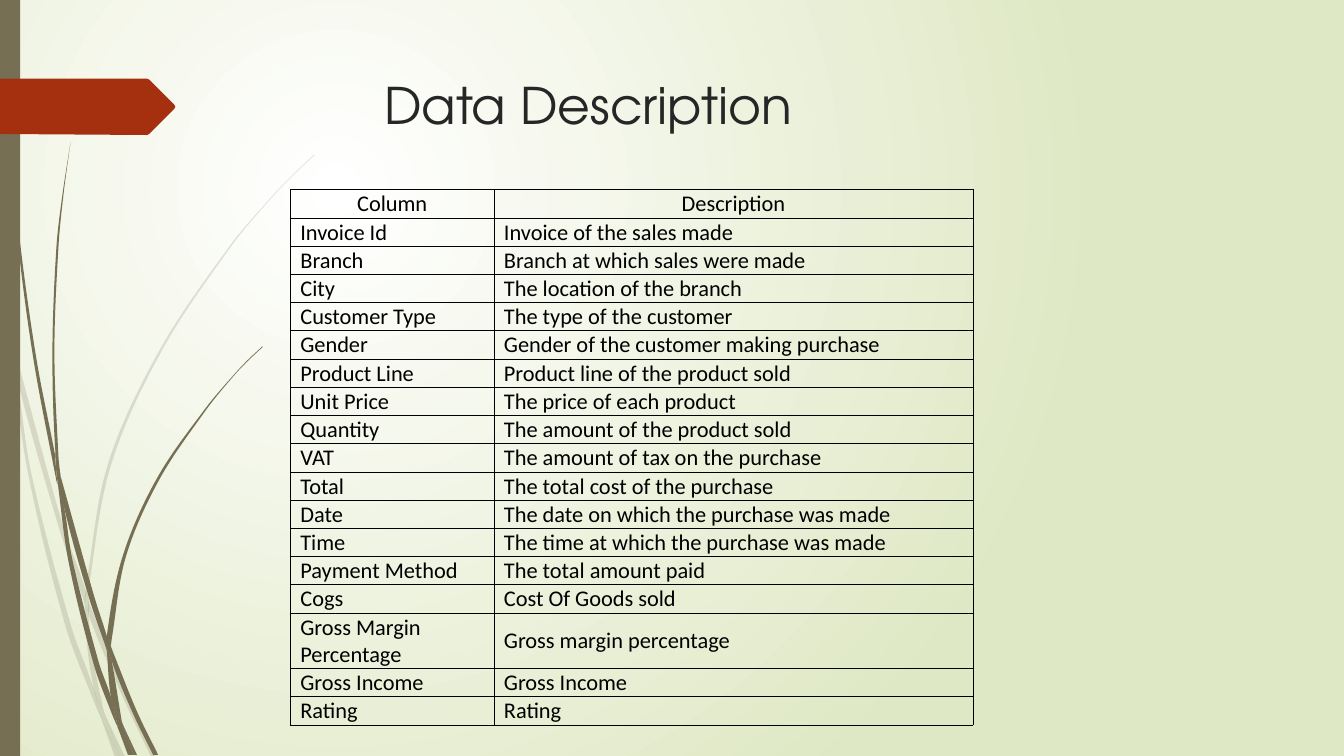
from dataclasses import dataclass
from math import dist

from lxml import etree
from pptx import Presentation
from pptx import util as u
from pptx.dml.color import RGBColor
from pptx.enum import shapes, text
from pptx.oxml.ns import qn


@dataclass(frozen=True)
class Theme:
    olive: str = "766F54"
    red: str = "A53010"
    title_ink: str = "262626"
    ink: str = "000000"
    glow: str = "FFFFFF"
    ground: str = "DFE8C4"
    title_font: str = "TeX Gyre Adventor"
    body_font: str = "Calibri"
    title_size: int = 36
    body_size: int = 16


THEME = Theme()
CM_PER_UNIT = 2.54  # the outlines below are on a grid of 2.54 cm

ROWS = [
    ("Column", "Description"),
    ("Invoice Id", "Invoice of the sales made"),
    ("Branch", "Branch at which sales were made"),
    ("City", "The location of the branch"),
    ("Customer Type", "The type of the customer"),
    ("Gender", "Gender of the customer making purchase"),
    ("Product Line", "Product line of the product sold"),
    ("Unit Price", "The price of each product"),
    ("Quantity", "The amount of the product sold"),
    ("VAT", "The amount of tax on the purchase"),
    ("Total", "The total cost of the purchase"),
    ("Date", "The date on which the purchase was made"),
    ("Time", "The time at which the purchase was made"),
    ("Payment Method", "The total amount paid"),
    ("Cogs", "Cost Of Goods sold"),
    ("Gross Margin Percentage", "Gross margin percentage"),
    ("Gross Income", "Gross Income"),
    ("Rating", "Rating"),
]

PALE_GRASS = [
    [(.11, 3.5), (.09, 3.22), (0, 2.82), (0, 2.99), (.1, 3.44)],
    [(.58, 5.22), (.84, 5.99), (.85, 5.86), (.62, 5.2), (.14, 3.45), (.17, 3.76)],
    [(.92, 6.07), (.88, 5.96), (.88, 6.1), (1.23, 6.94), (1.5, 7.51), (1.55, 7.51), (1.27, 6.92)],
    [(1.19, 7.51), (1.24, 7.51), (1.05, 7.11)],
    [(.93, 6.83), (.7, 6.19), (.31, 4.69), (.17, 3.76), (.11, 3.5), (.28, 4.7), (.65, 6.21),
     (.92, 6.93), (1.01, 7.14), (.99, 7.07)],
    [(.84, 5.99), (.87, 6.46), (.93, 6.83), (.96, 6.92), (1.05, 7.11), (1.03, 7.06), (.91, 6.46),
     (.88, 6.1), (.88, 6.08)],
    [(.88, 5.84), (1.1, 4.62), (1.6, 3.49), (2.29, 2.45), (2.68, 1.98), (2.9, 1.75), (3.12, 1.54),
     (3.12, 1.53), (2.89, 1.75), (2.68, 1.97), (2.28, 2.44), (1.58, 3.48), (1.07, 4.61),
     (.85, 5.84), (.85, 5.86), (.88, 5.96)],
    [(1.01, 7.14), (1.14, 7.51), (1.19, 7.51)],
    [(.88, 6.08), (.88, 6.1), (.88, 5.96), (.85, 5.86), (.84, 5.99)],
    [(.96, 6.92), (.93, 6.83), (.99, 7.07), (1.01, 7.14), (1.19, 7.51), (1.05, 7.11)],
]
DARK_GRASS = [
    [(.07, 1.1), (.17, 2.33), (.33, 3.55), (.56, 4.77), (.57, 4.81), (.55, 4.57), (.55, 4.53),
     (.36, 3.55), (.19, 2.32), (.08, 1.09), (.05, .48), (.04, 0), (.03, 0), (.04, .48)],
    [(.88, 5.92), (1.06, 6.45), (1.06, 6.33), (1.06, 6.31), (.93, 5.9), (.6, 4.72), (.64, 5.05)],
    [(1.13, 6.49), (1.1, 6.41), (1.11, 6.56), (1.32, 7.08), (1.52, 7.49), (1.57, 7.49),
     (1.36, 7.06)],
    [(1.1, 6.91), (.98, 6.57), (.72, 5.56), (.64, 5.05), (.57, 4.77), (.68, 5.57), (.93, 6.59),
     (1.11, 7.08), (1.17, 7.22), (1.16, 7.17)],
    [(.6, 4.72), (.58, 4.53), (.54, 3.49), (.58, 2.45), (.63, 1.93), (.7, 1.41), (.62, 1.93),
     (.56, 2.45), (.52, 3.49), (.55, 4.49)],
    [(1.33, 7.49), (1.36, 7.49), (1.22, 7.19)],
    [(.57, 4.77), (.64, 5.05), (.6, 4.72), (.55, 4.49), (.55, 4.53)],
    [(1.11, 6.33), (1.25, 5.52), (1.58, 4.76), (2.05, 4.06), (2.31, 3.74), (2.45, 3.59),
     (2.61, 3.44), (2.6, 3.44), (2.45, 3.58), (2.31, 3.73), (2.04, 4.05), (1.56, 4.74),
     (1.22, 5.51), (1.06, 6.31), (1.1, 6.41)],
    [(1.17, 7.22), (1.27, 7.49), (1.31, 7.49)],
    [(1.06, 6.45), (1.1, 6.91), (1.16, 7.06), (1.22, 7.19), (1.21, 7.16), (1.11, 6.56),
     (1.09, 6.51)],
    [(1.06, 6.45), (1.09, 6.51), (1.11, 6.56), (1.1, 6.41), (1.06, 6.31), (1.06, 6.33)],
    [(1.16, 7.06), (1.1, 6.91), (1.16, 7.17), (1.17, 7.22), (1.3, 7.49), (1.33, 7.49),
     (1.22, 7.19)],
]
FLAG = [(0, .78), (1.46, .78), (1.48, .79), (1.73, 1.04), (1.74, 1.06), (1.73, 1.08),
        (1.48, 1.33), (1.46, 1.34), (0, 1.33)]


def write_text(frame, words, *, font, size, color, align=text.PP_ALIGN.LEFT):
    para = frame.paragraphs[0]
    para.alignment = align
    span = para.add_run()
    span.text = words
    span.font.name = font
    span.font.size = u.Pt(size)
    span.font.bold = False
    span.font.color.rgb = RGBColor.from_string(color)


def paint(shape, color, opacity=100):
    shape.shadow.inherit = False
    shape.line.fill.background()
    shape.fill.solid()
    shape.fill.fore_color.rgb = RGBColor.from_string(color)
    if opacity < 100:
        tint = shape.element.spPr.find(".//" + qn("a:srgbClr"))
        etree.SubElement(tint, qn("a:alpha"), val=str(opacity * 1000))


def set_glow_background(slide):
    """Fill the background with a circular gradient centred in the upper left."""
    fill = slide.background.fill
    fill.gradient()
    for stop, color, position in zip(fill.gradient_stops, (THEME.glow, THEME.ground), (0, 1)):
        stop.color.rgb = RGBColor.from_string(color)
        stop.position = position
    gradient = slide.element.find(".//" + qn("a:gradFill"))
    gradient.remove(gradient.find(qn("a:lin")))
    circle = etree.SubElement(gradient, qn("a:path"), path="circle")
    etree.SubElement(circle, qn("a:fillToRect"), l="50000", t="50000", r="100000", b="100000")


def direction(start, end):
    length = dist(start, end)
    return (end[0] - start[0]) / length, (end[1] - start[1]) / length


def handle(before, corner, after, target):
    """Return the control point next to corner, on the side of target."""
    arriving, leaving = direction(before, corner), direction(corner, after)
    smooth = arriving[0] * leaving[0] + arriving[1] * leaving[1] > 0.8
    way = direction(before, after) if smooth else direction(corner, target)
    reach = dist(corner, target) / 3 * (-1 if smooth and target == before else 1)
    return corner[0] + way[0] * reach, corner[1] + way[1] * reach


def curve_points(anchors):
    """Return two control points and an end for each side of the closed outline."""
    points = []
    for index, end in enumerate(anchors[1:] + anchors[:1]):
        before, start = anchors[index - 1], anchors[index]
        after = anchors[(index + 2) % len(anchors)]
        points += [handle(before, start, end, end), handle(start, end, after, start), end]
    return points


def add_outline(slide, anchors, color, opacity=100, curved=True):
    points = anchors[:1] + (curve_points(anchors) if curved else anchors[1:])
    places = [(u.Cm(x * CM_PER_UNIT), u.Cm(y * CM_PER_UNIT)) for x, y in points]
    builder = slide.shapes.build_freeform(*places[0])
    builder.add_line_segments(places[1:], close=True)
    shape = builder.convert_to_shape()
    paint(shape, color, opacity)
    if curved:
        sides = list(shape.element.iter(qn("a:lnTo")))
        for first in range(0, len(sides), 3):
            bezier = etree.Element(qn("a:cubicBezTo"))
            sides[first].addprevious(bezier)
            for side in sides[first:first + 3]:
                bezier.append(side[0])
                side.getparent().remove(side)


def add_side_bar(slide):
    bar = slide.shapes.add_shape(shapes.MSO_SHAPE.RECTANGLE, 0, 0, u.Cm(0.51), u.Cm(19.05))
    paint(bar, THEME.olive)


def set_title(slide, words):
    title = slide.shapes.title
    title.left, title.top, title.width, title.height = map(u.Cm, (9.43, 1.73, 22.53, 3.56))
    title.text_frame.vertical_anchor = text.MSO_ANCHOR.TOP
    write_text(title.text_frame, words, font=THEME.title_font,
               size=THEME.title_size, color=THEME.title_ink)


def add_borders(cell):
    properties = cell._tc.get_or_add_tcPr()
    for index, side in enumerate(("lnL", "lnR", "lnT", "lnB")):
        line = etree.Element(qn("a:" + side), w=str(u.Pt(0.5)))
        solid = etree.SubElement(line, qn("a:solidFill"))
        etree.SubElement(solid, qn("a:srgbClr"), val=THEME.ink)
        properties.insert(index, line)


def add_column_table(slide):
    row_height, tall_height = u.Cm(0.69), u.Cm(1.4)
    table = slide.shapes.add_table(len(ROWS), 2, u.Cm(7.32), u.Cm(4.78), u.Cm(17.2),
                                   row_height * len(ROWS)).table
    table.first_row = table.horz_banding = False
    table.columns[0].width, table.columns[1].width = u.Cm(5.13), u.Cm(12.07)
    for index, entries in enumerate(ROWS):
        header = index == 0
        table.rows[index].height = tall_height if len(entries[0]) > 20 else row_height
        for cell, words in zip(table.rows[index].cells, entries):
            cell.fill.background()
            cell.vertical_anchor = text.MSO_ANCHOR.MIDDLE
            cell.margin_left = u.Cm(0.02 if header else 0.25)
            cell.margin_right = cell.margin_top = u.Cm(0.02)
            cell.margin_bottom = 0
            write_text(cell.text_frame, words, font=THEME.body_font, size=THEME.body_size,
                       color=THEME.ink,
                       align=text.PP_ALIGN.CENTER if header else text.PP_ALIGN.LEFT)
            add_borders(cell)


def main():
    deck = Presentation()
    deck.slide_width, deck.slide_height = u.Cm(33.87), u.Cm(19.05)
    page = deck.slides.add_slide(deck.slide_layouts.get_by_name("Title Only"))
    set_glow_background(page)
    for blades, opacity in ((PALE_GRASS, 20), (DARK_GRASS, 100)):
        for blade in blades:
            add_outline(page, blade, THEME.olive, opacity)
    add_side_bar(page)
    add_outline(page, FLAG, THEME.red, curved=False)
    set_title(page, "Data Description")
    add_column_table(page)
    deck.save("out.pptx")


if __name__ == "__main__":
    main()
